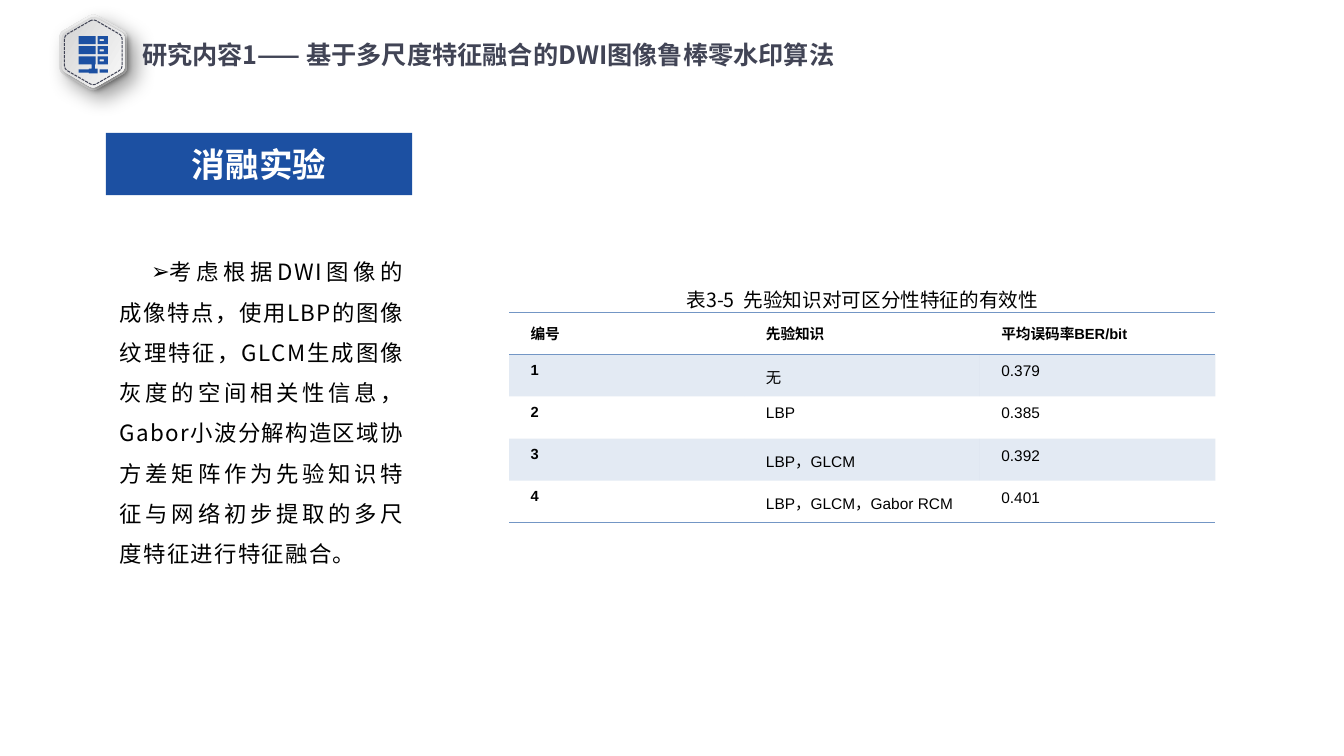
from math import cos, pi, sin

from lxml.etree import SubElement
from pptx import Presentation
from pptx.dml.color import RGBColor
from pptx.enum.shapes import MSO_SHAPE
from pptx.enum.text import MSO_ANCHOR, PP_ALIGN
from pptx.oxml import parse_xml
from pptx.oxml.ns import nsdecls, qn
from pptx.util import Cm, Pt

# Content
TITLE = "研究内容1—— 基于多尺度特征融合的DWI图像鲁棒零水印算法"
SECTION = "消融实验"
BODY = (
    "考虑根据DWI图像的成像特点，使用LBP的图像纹理特征，GLCM生成图像灰度的空间相关性信息，"
    "Gabor小波分解构造区域协方差矩阵作为先验知识特征与网络初步提取的多尺度特征进行特征融合。"
)
CAPTION = "表3-5  先验知识对可区分性特征的有效性"
ROWS = [
    ("编号", "先验知识", "平均误码率BER/bit"),
    ("1", "无", "0.379"),
    ("2", "LBP", "0.385"),
    ("3", "LBP，GLCM", "0.392"),
    ("4", "LBP，GLCM，Gabor RCM", "0.401"),
]

COLORS = {
    "blue": "1C50A2",
    "slate": "414455",
    "white": "FFFFFF",
    "black": "000000",
    "rule": "7396C5",
    "badge_dark": "D3D3D3",
    "badge_light": "F9F9F9",
}
CJK_FONT = "Noto Sans CJK SC"
NO_TABLE_STYLE = "{2D5ABB26-0587-4C30-8999-92F81FD0307C}"

# Badge hexagons: radius in cm, gradient angle, shadow blur and distance in points
BADGE_CENTER = (2.35, 1.32)
BADGE_PLATES = [(0.98, 60, 15, 9), (0.91, 329, 4, 3)]
BADGE_STITCH_RADIUS = 0.84
CORNER_CUT = 0.12

# Server icon rectangles in cm: left, top, width, height
SERVER_ROW_TOPS = [0.91 + 0.255 * row for row in range(3)]
SERVER_ROW_PARTS = [(1.98, 0, 0.43, 0.2), (2.46, 0, 0.26, 0.2), (2.51, 0.08, 0.11, 0.05)]
SERVER_BASE = [
    (2.31, 1.63, 0.08, 0.1),
    (2.24, 1.73, 0.22, 0.12),
    (1.98, 1.75, 0.26, 0.08),
    (2.51, 1.75, 0.21, 0.08),
]


def rgb(name):
    return RGBColor.from_string(COLORS[name])


def write_text(frame, text, size, color="black", bold=False, font=CJK_FONT,
               align=PP_ALIGN.LEFT, line_spacing=None, left_margin=0,
               indent=0, bullet=None, tracking=None):
    frame.word_wrap = True
    paragraph = frame.paragraphs[0]
    properties = paragraph._p.get_or_add_pPr()
    properties.set("marL", str(Cm(left_margin)))
    properties.set("indent", str(Cm(indent)))
    if bullet:
        SubElement(properties, qn("a:buFont"), typeface="Arial")
        SubElement(properties, qn("a:buChar"), char=bullet)
    paragraph.alignment = align
    if line_spacing:
        paragraph.line_spacing = line_spacing
    run = paragraph.add_run()
    run.text = text
    run.font.size = Pt(size)
    run.font.bold = bold
    run.font.color.rgb = rgb(color)
    run.font.name = font
    run_properties = run._r.get_or_add_rPr()
    SubElement(run_properties, qn("a:ea"), typeface=CJK_FONT)
    if tracking:
        run_properties.set("spc", str(tracking * 100))


def add_text_box(slide, box, text, anchor=MSO_ANCHOR.TOP, **text_format):
    frame = slide.shapes.add_textbox(*map(Cm, box)).text_frame
    frame.vertical_anchor = anchor
    write_text(frame, text, **text_format)
    return frame


def add_outline(slide, contours):
    points = [[(Cm(x), Cm(y)) for x, y in contour] for contour in contours]
    builder = slide.shapes.build_freeform(*points[0][0], scale=1.0)
    for number, contour in enumerate(points):
        if number:
            builder.move_to(*contour[0])
        builder.add_line_segments(contour[1:], close=True)
    shape = builder.convert_to_shape()
    shape.shadow.inherit = False
    return shape


def rounded_hexagon(radius):
    center_x, center_y = BADGE_CENTER
    corners = [(center_x + radius * sin(k * pi / 3), center_y - radius * cos(k * pi / 3))
               for k in range(6)]
    points = []
    for k, corner in enumerate(corners):
        start, end = [
            [c + CORNER_CUT * (n - c) for c, n in zip(corner, neighbor)]
            for neighbor in (corners[k - 1], corners[(k + 1) % 6])
        ]
        for t in (0, 0.25, 0.5, 0.75, 1):
            points.append(tuple((1 - t) ** 2 * s + 2 * t * (1 - t) * c + t * t * e
                                for s, c, e in zip(start, corner, end)))
    return points


def rectangle(left, top, width, height):
    return [(left, top), (left + width, top), (left + width, top + height), (left, top + height)]


def add_badge(slide):
    for radius, angle, blur, distance in BADGE_PLATES:
        plate = add_outline(slide, [rounded_hexagon(radius)])
        plate.line.fill.background()
        plate.fill.gradient()
        plate.fill.gradient_angle = angle
        for stop, color in zip(plate.fill.gradient_stops, ("badge_dark", "badge_light")):
            stop.color.rgb = rgb(color)
        effects = plate._element.spPr.find(qn("a:effectLst"))
        effects.append(parse_xml(
            f'<a:outerShdw {nsdecls("a")} blurRad="{Pt(blur)}" dist="{Pt(distance)}" '
            f'dir="2700000" algn="ctr" rotWithShape="0"><a:srgbClr val="{COLORS["black"]}">'
            '<a:alpha val="40000"/></a:srgbClr></a:outerShdw>'))
    stitch = add_outline(slide, [rounded_hexagon(BADGE_STITCH_RADIUS)])
    stitch.fill.background()
    stitch.line.color.rgb = rgb("slate")
    stitch.line.width = Pt(0.75)
    SubElement(stitch.line._get_or_add_ln(), qn("a:prstDash"), val="sysDash")

    blocks = [(left, row_top + top, width, height)
              for row_top in SERVER_ROW_TOPS
              for left, top, width, height in SERVER_ROW_PARTS]
    server = add_outline(slide, [rectangle(*block) for block in blocks + SERVER_BASE])
    server.fill.solid()
    server.fill.fore_color.rgb = rgb("blue")
    server.line.fill.background()


def set_borders(cell, sides):
    for position, side in enumerate(sides):
        cell._tc.get_or_add_tcPr().insert(position, parse_xml(
            f'<a:ln{side} {nsdecls("a")} w="{Pt(1)}"><a:solidFill>'
            f'<a:srgbClr val="{COLORS["rule"]}"/></a:solidFill></a:ln{side}>'))


def add_results_table(slide):
    frame = slide.shapes.add_table(len(ROWS), len(ROWS[0]), Cm(12.83), Cm(7.87),
                                   Cm(17.8), Cm(5.3))
    table = frame.table
    table._tbl.tblPr.find(qn("a:tableStyleId")).text = NO_TABLE_STYLE
    table.horz_banding = False
    for r, values in enumerate(ROWS):
        for c, value in enumerate(values):
            cell = table.cell(r, c)
            cell.margin_left = cell.margin_right = Cm(0.18)
            cell.margin_top = cell.margin_bottom = 0
            strong = r == 0 or c == 0
            write_text(cell.text_frame, value, size=10.5 if strong else 11, bold=strong,
                       font="Arial", align=PP_ALIGN.JUSTIFY, line_spacing=1.5, indent=0.36)
            if r % 2:
                cell.fill.solid()
                cell.fill.fore_color.rgb = rgb("rule")
                color = cell._tc.tcPr.find(".//" + qn("a:srgbClr"))
                SubElement(color, qn("a:alpha"), val="20000")
            else:
                cell.fill.background()
            if r == 0:
                set_borders(cell, "TB")
            elif r == len(ROWS) - 1:
                set_borders(cell, "B")


def main():
    presentation = Presentation()
    presentation.slide_width, presentation.slide_height = Cm(33.87), Cm(19.05)
    slide = presentation.slides.add_slide(presentation.slide_layouts[6])

    # Header
    add_badge(slide)
    title = add_text_box(slide, (3.4, 0.89, 21.84, 0.97), TITLE, anchor=MSO_ANCHOR.MIDDLE,
                         size=18, color="slate", bold=True)
    title.margin_left = title.margin_right = Cm(0.18)
    title.margin_top = title.margin_bottom = Cm(0.1)

    # Section banner
    banner = slide.shapes.add_shape(MSO_SHAPE.RECTANGLE, Cm(2.67), Cm(3.35), Cm(7.72), Cm(1.57))
    banner.shadow.inherit = False
    banner.fill.solid()
    banner.fill.fore_color.rgb = rgb("blue")
    banner.line.fill.background()
    banner.text_frame.vertical_anchor = MSO_ANCHOR.MIDDLE
    write_text(banner.text_frame, SECTION, size=24, color="white", bold=True,
               font="Arial", align=PP_ALIGN.CENTER)

    # Explanation
    add_text_box(slide, (1.98, 6.05, 8.46, 9.5), BODY, size=16, align=PP_ALIGN.JUSTIFY,
                 line_spacing=1.5, left_margin=0.79, indent=0.79, bullet="➢", tracking=1)

    # Results table with caption
    caption = add_text_box(slide, (16.92, 6.83, 9.63, 1.04), CAPTION, size=14,
                           align=PP_ALIGN.CENTER, line_spacing=1.5)
    caption.margin_bottom = 0
    add_results_table(slide)

    presentation.save("out.pptx")


if __name__ == "__main__":
    main()
